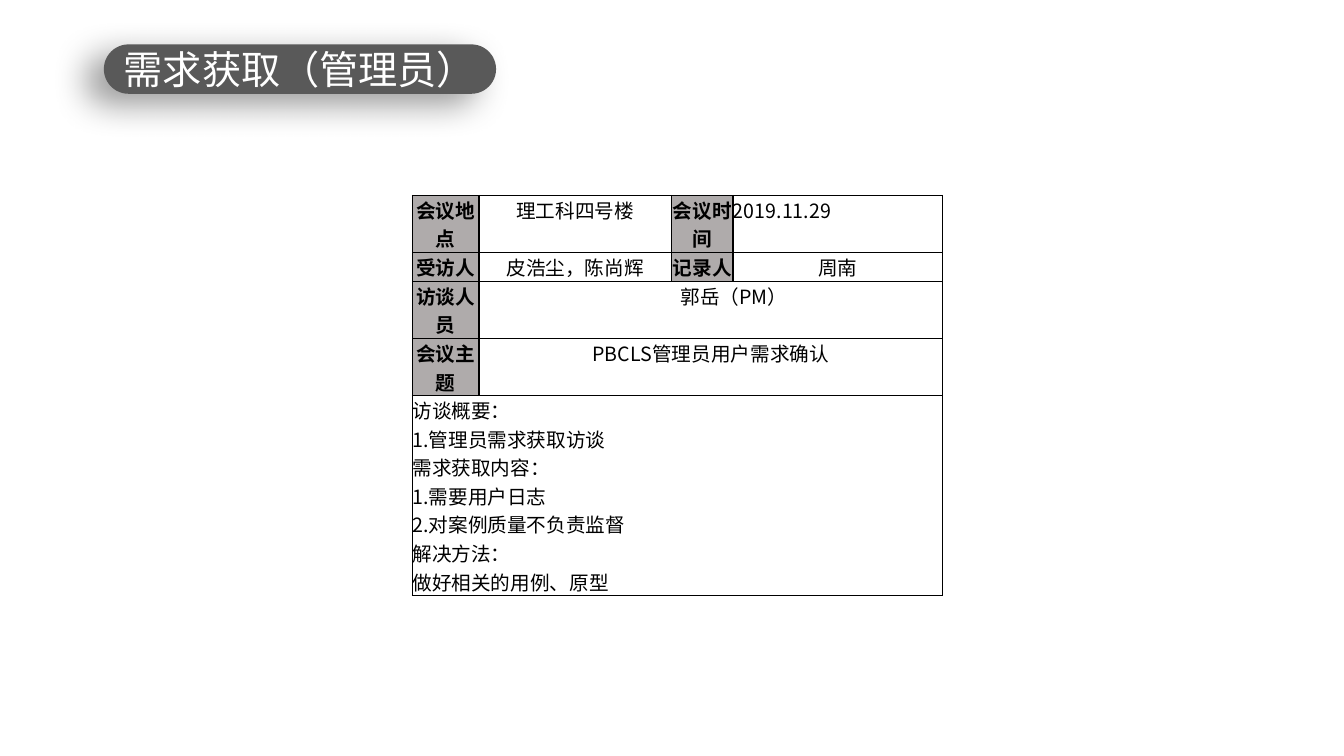
from dataclasses import dataclass

from lxml import etree
from pptx import Presentation, util as u
from pptx.dml.color import RGBColor
from pptx.enum import shapes, text
from pptx.oxml import ns

# Content: each row lists (text, columns spanned, role)
TITLE = "需求获取（管理员）"
SUMMARY = [
    "访谈概要：",
    "1.管理员需求获取访谈",
    "需求获取内容：",
    "1.需要用户日志",
    "2.对案例质量不负责监督",
    "解决方法：",
    "做好相关的用例、原型",
]
ROWS = [
    [("会议地点", 1, "label"), ("理工科四号楼", 1, "value"),
     ("会议时间", 1, "label"), ("2019.11.29", 1, "left")],
    [("受访人", 1, "label"), ("皮浩尘，陈尚辉", 1, "value"),
     ("记录人", 1, "label"), ("周南", 1, "value")],
    [("访谈人员", 1, "middle label"), ("郭岳（PM）", 3, "indented")],
    [("会议主题", 1, "middle label"), ("PBCLS管理员用户需求确认", 3, "value")],
    [("\n".join(SUMMARY), 4, "left")],
]
ROW_LINES = [2, 1, 2, 2, len(SUMMARY)]


@dataclass(frozen=True)
class Theme:
    pill: str = "595959"
    label: str = "AFABAB"
    ink: str = "000000"
    paper: str = "FFFFFF"
    title_font: str = "Calibri"
    body_font: str = "Noto Sans CJK SC"
    title_size: int = 28
    body_size: int = 14
    border: int = 1


THEME = Theme()

# Layout in inches
SLIDE = (13.33, 7.5)
PILL = (1.03, 0.44, 3.89, 0.49)
TABLE_LEFT, TABLE_TOP = 4.09, 1.94
COLUMNS = [0.66, 1.91, 0.61, 2.08]
LINE_HEIGHT = 0.28
INDENT = 2


def add_element(parent, tag, **attributes):
    return etree.SubElement(parent, ns.qn(tag), attributes)


def style_paragraph(paragraph, font_name, size, color, bold=False):
    for run in paragraph.runs:
        font = run.font
        font.name, font.size, font.bold = font_name, u.Pt(size), bold
        font.color.rgb = RGBColor.from_string(color)
        add_element(run._r.get_or_add_rPr(), "a:ea", typeface=THEME.body_font)


def add_shadow(shape):
    effects = add_element(shape._element.spPr, "a:effectLst")
    shadow = add_element(effects, "a:outerShdw", blurRad=str(u.Pt(25)),
                         dist=str(u.Pt(15)), dir=str(150 * 60000),
                         algn="ctr", rotWithShape="0")
    color = add_element(shadow, "a:srgbClr", val=THEME.ink)
    add_element(color, "a:alpha", val="40000")


def add_title(slide):
    pill = slide.shapes.add_shape(shapes.MSO_SHAPE.ROUNDED_RECTANGLE,
                                  *map(u.Inches, PILL))
    pill.adjustments[0] = 0.5
    pill.fill.solid()
    pill.fill.fore_color.rgb = RGBColor.from_string(THEME.pill)
    pill.line.fill.background()
    add_shadow(pill)
    frame = pill.text_frame
    frame.text = TITLE
    frame.vertical_anchor = text.MSO_ANCHOR.MIDDLE
    paragraph = frame.paragraphs[0]
    paragraph.alignment = text.PP_ALIGN.CENTER
    style_paragraph(paragraph, THEME.title_font, THEME.title_size, THEME.paper)


def style_cell(cell, role):
    is_label = "label" in role
    cell.margin_left = cell.margin_right = cell.margin_top = cell.margin_bottom = 0
    if "middle" in role:
        cell.vertical_anchor = text.MSO_ANCHOR.MIDDLE
    # Borders come before the fill in the cell properties
    properties = cell._tc.get_or_add_tcPr()
    for side in ("a:lnL", "a:lnR", "a:lnT", "a:lnB"):
        line = add_element(properties, side, w=str(u.Pt(THEME.border)))
        add_element(add_element(line, "a:solidFill"), "a:srgbClr", val=THEME.ink)
    if is_label:
        cell.fill.solid()
        cell.fill.fore_color.rgb = RGBColor.from_string(THEME.label)
    else:
        cell.fill.background()
    for paragraph in cell.text_frame.paragraphs:
        if is_label or role == "value":
            paragraph.alignment = text.PP_ALIGN.CENTER
        if role == "indented":
            paragraph._p.get_or_add_pPr().set("marL", str(u.Inches(INDENT)))
        style_paragraph(paragraph, THEME.body_font, THEME.body_size,
                        THEME.ink, is_label)


def add_meeting_table(slide):
    heights = [lines * LINE_HEIGHT for lines in ROW_LINES]
    box = (TABLE_LEFT, TABLE_TOP, sum(COLUMNS), sum(heights))
    table = slide.shapes.add_table(len(ROWS), len(COLUMNS),
                                   *map(u.Inches, box)).table
    table.first_row = table.horz_banding = False
    for column, width in zip(table.columns, COLUMNS):
        column.width = u.Inches(width)
    for row, height in zip(table.rows, heights):
        row.height = u.Inches(height)
    for row_index, entries in enumerate(ROWS):
        start = 0
        for wording, span, role in entries:
            cell = table.cell(row_index, start)
            if span > 1:
                cell.merge(table.cell(row_index, start + span - 1))
            cell.text_frame.text = wording
            for column_index in range(start, start + span):
                style_cell(table.cell(row_index, column_index), role)
            start += span


def main():
    presentation = Presentation()
    presentation.slide_width, presentation.slide_height = map(u.Inches, SLIDE)
    slide = presentation.slides.add_slide(presentation.slide_layouts[6])
    add_title(slide)
    add_meeting_table(slide)
    presentation.save("out.pptx")


if __name__ == "__main__":
    main()
